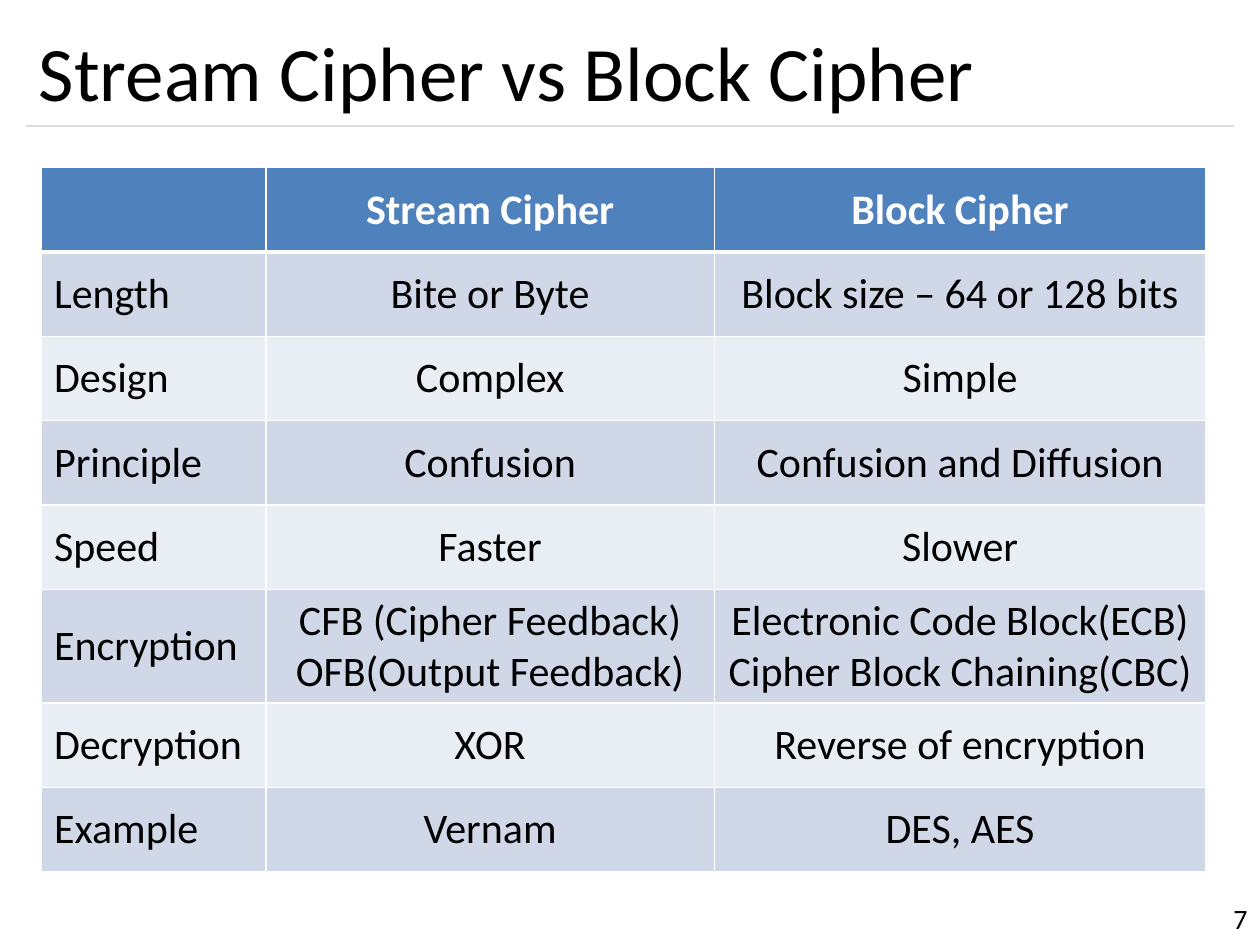
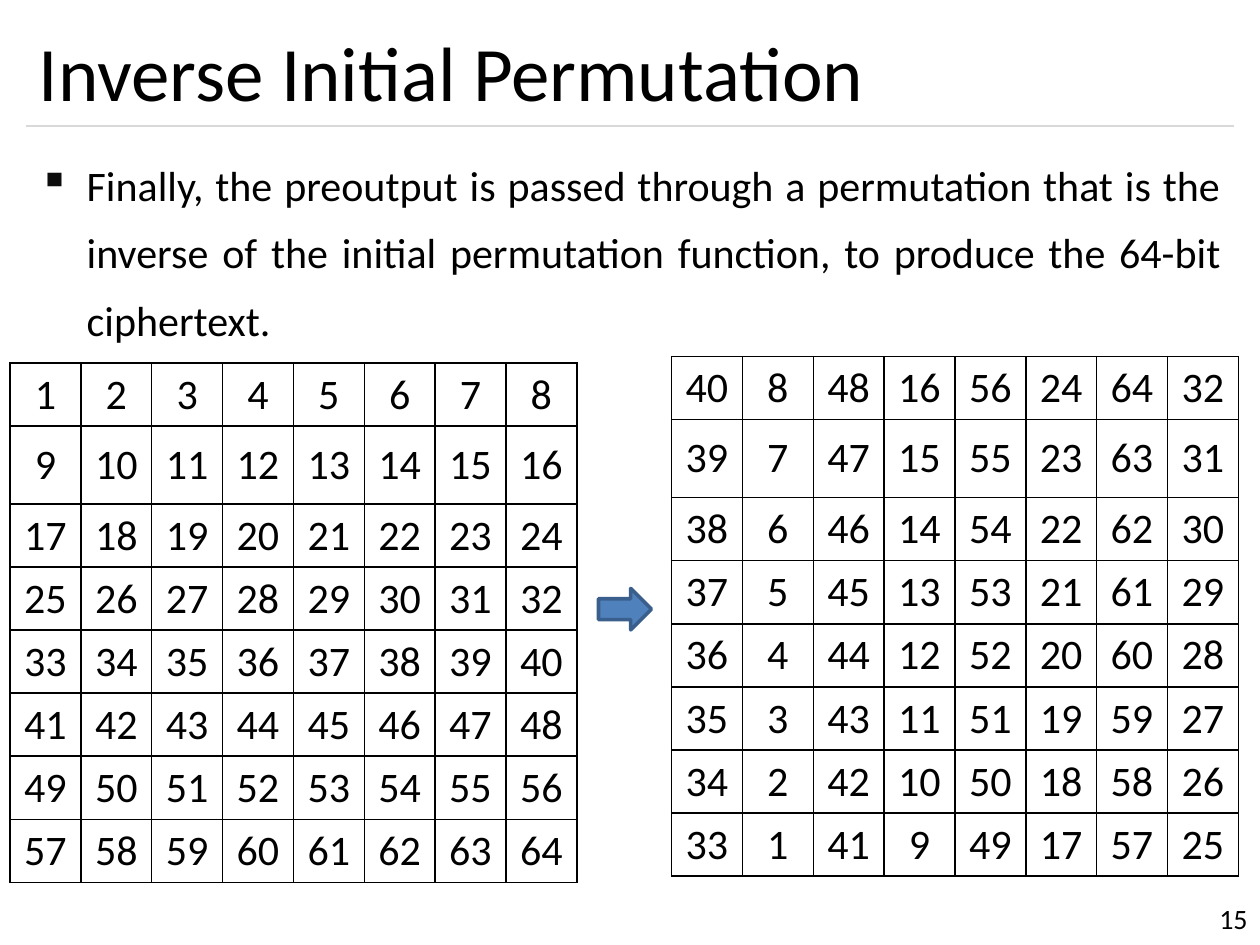
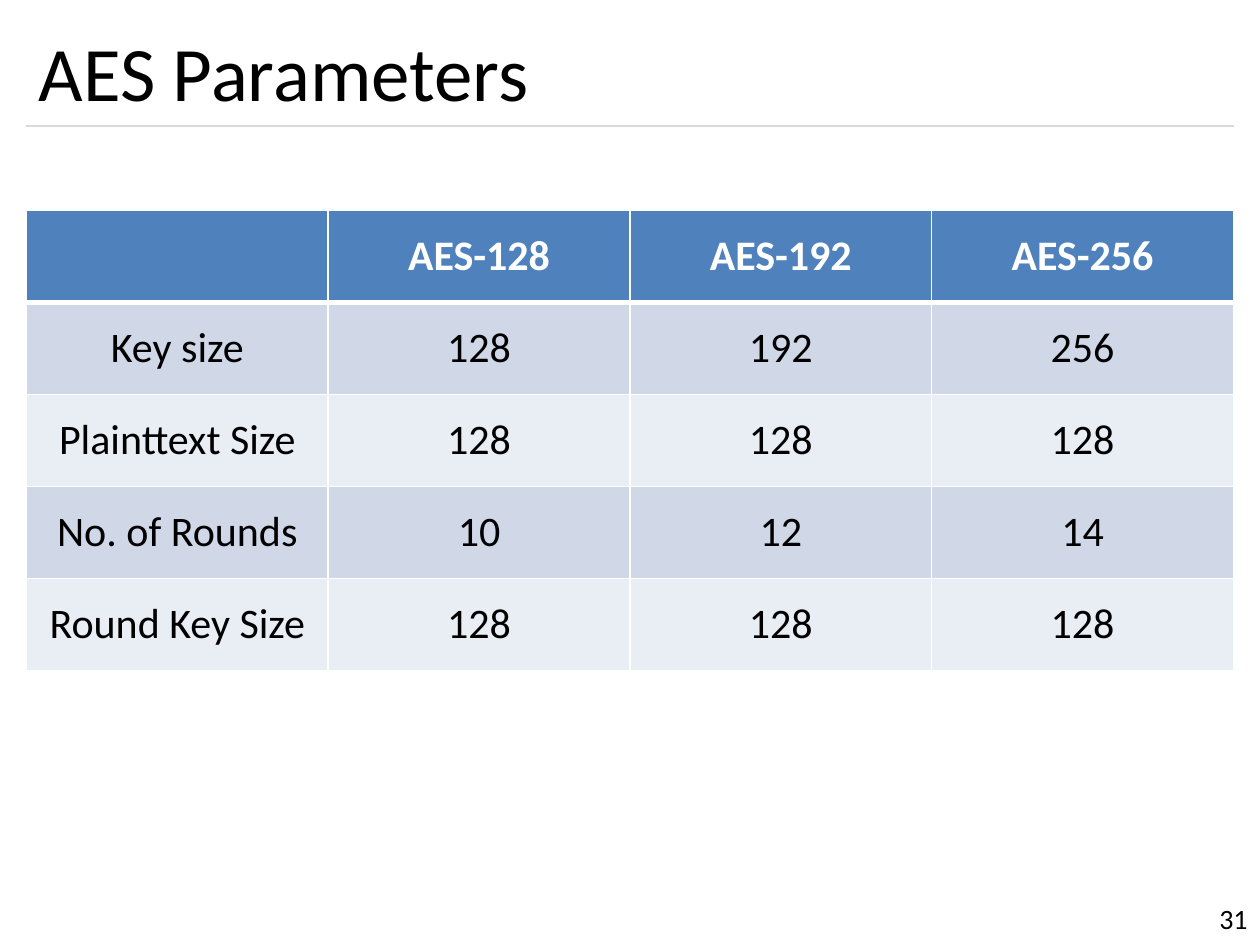
"""Build three slides about ciphers, permutations and AES parameters."""

import dataclasses
import typing

import lxml.etree
import pptx
import pptx.dml.color
import pptx.enum.shapes
import pptx.enum.text
import pptx.oxml.ns
import pptx.slide
import pptx.table
import pptx.text.text
import pptx.util

Inches = pptx.util.Inches
Pt = pptx.util.Pt
Align = pptx.enum.text.PP_ALIGN
Anchor = pptx.enum.text.MSO_ANCHOR

BLACK, WHITE = "000000", "FFFFFF"
BLUE, DARK_BLUE = "4F81BD", "3A5F8C"
BANDS = ("D0D8E8", "E9EDF4")
RULE_GRAY, BULLET_GRAY = "D9D9D9", "0D0D0D"

TITLE_FONT = {"name": "Calibri", "size": Pt(44), "bold": False}
BODY_FONT = {"name": "Calibri", "size": Pt(24), "bold": False}
HEADER_FONT = {**BODY_FONT, "bold": True}
NUMBER_FONT = {"name": "Calibri", "size": Pt(16), "bold": False}

MARGIN, CONTENT_WIDTH = 0.21, 9.58
GRID_SIZE = 8


@dataclasses.dataclass(frozen=True)
class Box:
    """Position and size in inches."""

    left: float
    top: float
    width: float
    height: float

    def lengths(self) -> list[int]:
        """Return the four values as lengths."""
        return [Inches(value) for value in dataclasses.astuple(self)]


@dataclasses.dataclass(frozen=True)
class TableDesign:
    """Place, content and look of a table."""

    left: float
    top: float
    columns: list[float]
    rows: list[float]
    cells: list[list[str]]
    banded: bool = True
    first_column: typing.Any = Align.CENTER


def rgb(value: str) -> pptx.dml.color.RGBColor:
    """Turn a hex string into a colour."""
    return pptx.dml.color.RGBColor.from_string(value)


def apply(target: typing.Any, values: dict) -> None:
    """Set every attribute named in the format values."""
    for name, value in values.items():
        setattr(target, name, value)


def add_element(parent: typing.Any, tag: str, **attributes: str) -> typing.Any:
    """Append a drawing element to its parent."""
    return lxml.etree.SubElement(parent, pptx.oxml.ns.qn(tag), attributes)


def write(frame: pptx.text.text.TextFrame, text: str, font: dict,
          alignment: typing.Any = Align.LEFT, color: str = BLACK) -> None:
    """Write one paragraph for each line of text."""
    for index, line in enumerate(text.split("\n")):
        paragraph = frame.add_paragraph() if index else frame.paragraphs[0]
        paragraph.alignment = alignment
        run = paragraph.add_run()
        run.text = line
        apply(run.font, font)
        run.font.color.rgb = rgb(color)


def add_text(slide: pptx.slide.Slide, box: Box, text: str, font: dict,
             alignment: typing.Any = Align.LEFT,
             anchor: typing.Any = Anchor.MIDDLE) -> pptx.text.text.TextFrame:
    """Add a wrapping text box."""
    frame = slide.shapes.add_textbox(*box.lengths()).text_frame
    apply(frame, {"word_wrap": True, "vertical_anchor": anchor})
    write(frame, text, font, alignment)
    return frame


def add_bullet(slide: pptx.slide.Slide, box: Box, text: str) -> None:
    """Add a justified paragraph with a square bullet."""
    frame = add_text(slide, box, text, BODY_FONT, Align.JUSTIFY, Anchor.TOP)
    paragraph = frame.paragraphs[0]
    apply(paragraph, {"line_spacing": 1.34, "space_before": Pt(4.8)})
    properties = paragraph._p.get_or_add_pPr()
    properties.set("marL", str(Inches(0.38)))
    properties.set("indent", str(-Inches(0.38)))
    add_element(add_element(properties, "a:buClr"), "a:srgbClr", val=BULLET_GRAY)
    add_element(properties, "a:buChar", char="▪")


def add_borders(cell: pptx.table._Cell, color: str, bottom: float) -> None:
    """Draw the four borders of a cell."""
    properties = cell._tc.get_or_add_tcPr()
    for side, width in {"L": 1, "R": 1, "T": 1, "B": bottom}.items():
        line = add_element(properties, f"a:ln{side}", w=str(Pt(width)))
        add_element(add_element(line, "a:solidFill"), "a:srgbClr", val=color)


def style_cell(cell: pptx.table._Cell, row: int, banded: bool) -> None:
    """Give a cell its borders and fill."""
    cell.vertical_anchor = Anchor.MIDDLE
    if not banded:
        add_borders(cell, BLACK, 1)
        cell.fill.background()
        return
    add_borders(cell, WHITE, 1 if row else 3)
    cell.fill.solid()
    cell.fill.fore_color.rgb = rgb(BANDS[(row - 1) % 2] if row else BLUE)


def add_table(slide: pptx.slide.Slide, design: TableDesign) -> None:
    """Add a table with its sizes, texts and fills."""
    box = Box(design.left, design.top, sum(design.columns), sum(design.rows))
    table = slide.shapes.add_table(
        len(design.rows), len(design.columns), *box.lengths()).table
    apply(table, {"first_row": design.banded, "horz_banding": design.banded})
    for column, width in zip(table.columns, design.columns):
        column.width = Inches(width)
    for row, height in zip(table.rows, design.rows):
        row.height = Inches(height)
    for row, texts in enumerate(design.cells):
        header = design.banded and row == 0
        for column, text in enumerate(texts):
            cell = table.cell(row, column)
            style_cell(cell, row, design.banded)
            if text:
                write(cell.text_frame, text,
                      HEADER_FONT if header else BODY_FONT,
                      Align.CENTER if column else design.first_column,
                      WHITE if header else BLACK)


def add_number_grid(slide: pptx.slide.Slide, left: float, top: float,
                    number: typing.Callable[[int, int], int]) -> None:
    """Add a square grid whose numbers follow a rule of row and column."""
    cells = [[str(number(row, column)) for column in range(GRID_SIZE)]
             for row in range(GRID_SIZE)]
    rows = [0.62 if row == 1 else 0.44 for row in range(GRID_SIZE)]
    columns = [4.5 / GRID_SIZE] * GRID_SIZE
    add_table(slide, TableDesign(left, top, columns, rows, cells, banded=False))


def add_arrow(slide: pptx.slide.Slide, box: Box) -> None:
    """Add a blue arrow that points right."""
    arrow = slide.shapes.add_shape(
        pptx.enum.shapes.MSO_SHAPE.RIGHT_ARROW, *box.lengths())
    arrow.shadow.inherit = False
    arrow.fill.solid()
    arrow.fill.fore_color.rgb = rgb(BLUE)
    arrow.line.color.rgb = rgb(DARK_BLUE)
    arrow.line.width = Pt(2)


def add_slide(presentation: typing.Any, title: str, number: int) -> pptx.slide.Slide:
    """Add a slide with its number, rule and title."""
    slide = presentation.slides.add_slide(presentation.slide_layouts[6])
    add_text(slide, Box(0, 7.08, 10, 0.42), str(number), NUMBER_FONT, Align.RIGHT)
    rule = slide.shapes.add_connector(
        pptx.enum.shapes.MSO_CONNECTOR.STRAIGHT, Inches(MARGIN), Inches(1),
        Inches(MARGIN + CONTENT_WIDTH), Inches(1))
    rule.line.color.rgb = rgb(RULE_GRAY)
    rule.line.width = Pt(0.75)
    add_element(rule._element.spPr, "a:effectLst")
    add_text(slide, Box(MARGIN, 0.12, CONTENT_WIDTH, 0.88), title, TITLE_FONT)
    return slide


def add_cipher_comparison(presentation: typing.Any) -> None:
    """Add the comparison of stream and block ciphers."""
    slide = add_slide(presentation, "Stream Cipher vs Block Cipher", 7)
    cells = [
        ["", "Stream Cipher", "Block Cipher"],
        ["Length", "Bite or Byte", "Block size – 64 or 128 bits"],
        ["Design", "Complex", "Simple"],
        ["Principle", "Confusion", "Confusion and Diffusion"],
        ["Speed", "Faster", "Slower"],
        ["Encryption", "CFB (Cipher Feedback)\nOFB(Output Feedback)",
         "Electronic Code Block(ECB)\nCipher Block Chaining(CBC)"],
        ["Decryption", "XOR", "Reverse of encryption"],
        ["Example", "Vernam", "DES, AES"],
    ]
    add_table(slide, TableDesign(0.33, 1.33, [1.78, 3.56, 3.9],
                                 [0.67] * len(cells), cells,
                                 first_column=Align.LEFT))


def add_inverse_permutation(presentation: typing.Any) -> None:
    """Add the inverse permutation with its two grids."""
    slide = add_slide(presentation, "Inverse Initial Permutation", 15)
    add_number_grid(slide, 5.33, 2.83, lambda row, column:
                    8 * (column // 2 + 1) + 32 * (column % 2 == 0) - row)
    add_arrow(slide, Box(4.75, 4.67, 0.42, 0.33))
    add_number_grid(slide, 0.08, 2.88, lambda row, column:
                    GRID_SIZE * row + column + 1)
    add_bullet(slide, Box(MARGIN, 1.08, CONTENT_WIDTH, 1.17),
               "Finally, the preoutput is passed through a permutation that is "
               "the inverse of the initial permutation function, to produce "
               "the 64-bit ciphertext.")


def add_aes_parameters(presentation: typing.Any) -> None:
    """Add the table of AES parameters."""
    slide = add_slide(presentation, "AES Parameters", 31)
    cells = [
        ["", "AES-128", "AES-192", "AES-256"],
        ["Key size", "128", "192", "256"],
        ["Plainttext Size", "128", "128", "128"],
        ["No. of Rounds", "10", "12", "14"],
        ["Round Key Size", "128", "128", "128"],
    ]
    add_table(slide, TableDesign(MARGIN, 1.67, [CONTENT_WIDTH / 4] * 4,
                                 [0.73] * len(cells), cells))


def main() -> None:
    """Build and save the presentation."""
    presentation = pptx.Presentation()
    apply(presentation, {"slide_width": Inches(10), "slide_height": Inches(7.5)})
    add_cipher_comparison(presentation)
    add_inverse_permutation(presentation)
    add_aes_parameters(presentation)
    presentation.save("out.pptx")


if __name__ == "__main__":
    main()
